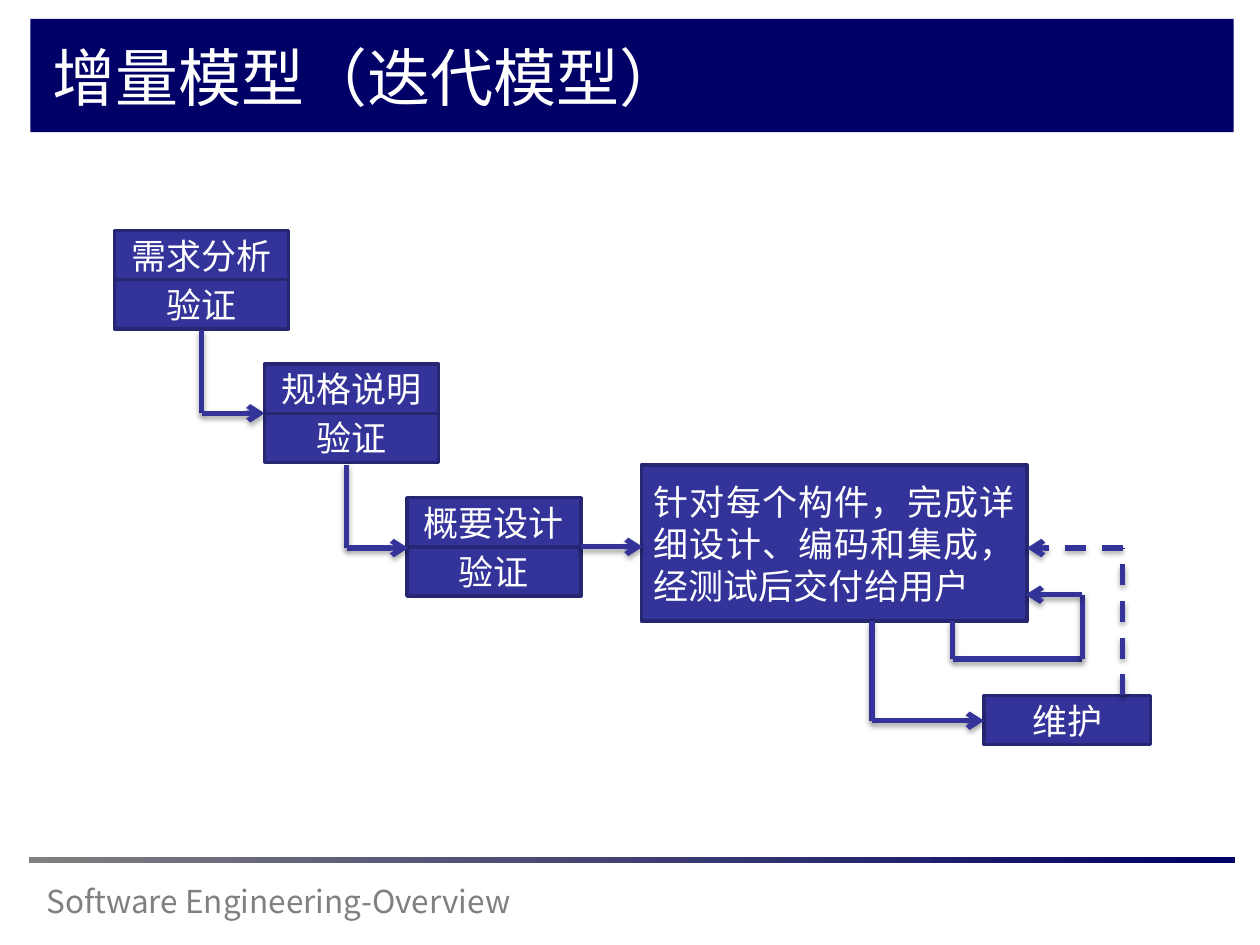
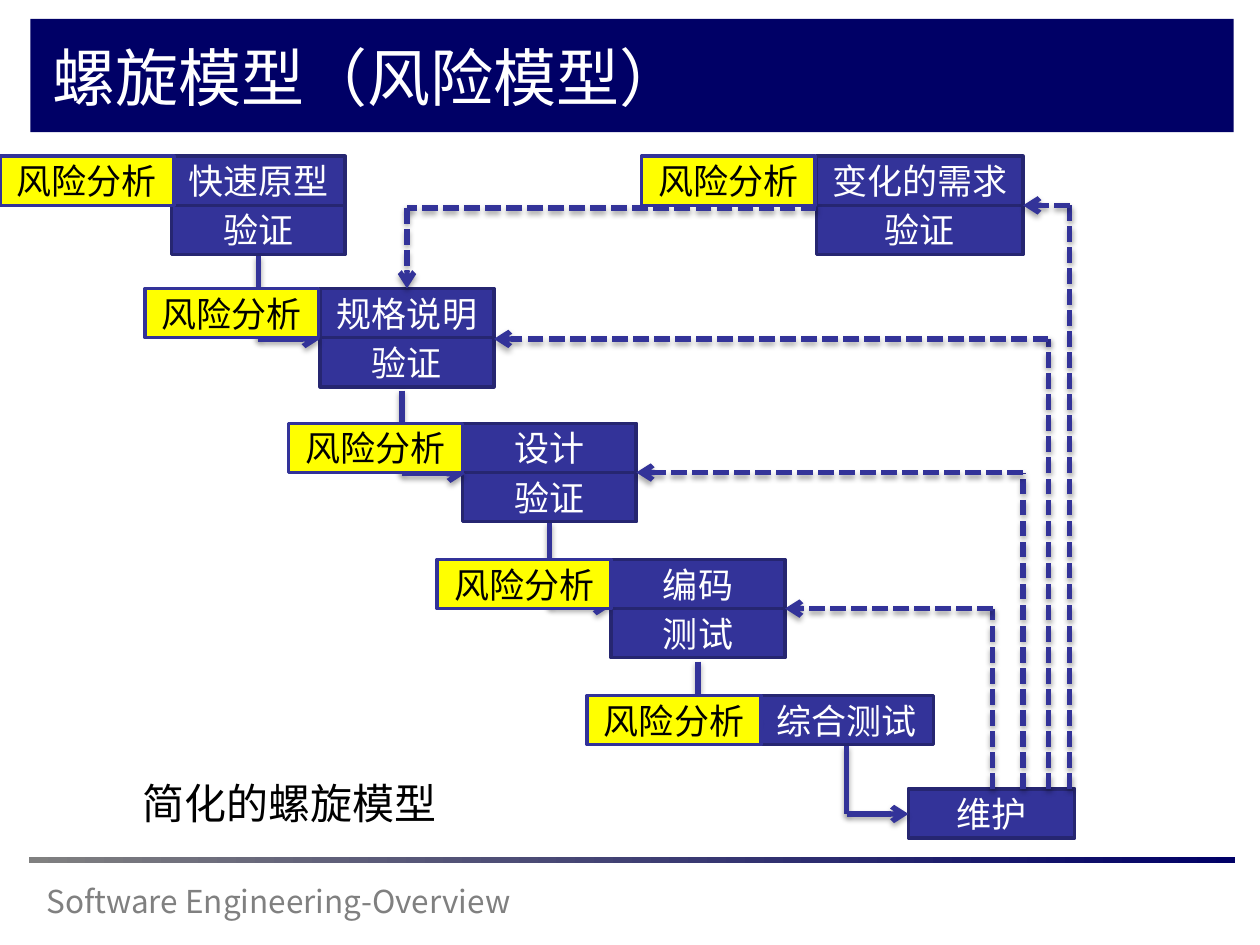
from dataclasses import dataclass

from lxml import etree
from pptx import Presentation
from pptx.dml.color import RGBColor
from pptx.enum.dml import MSO_LINE
from pptx.enum.shapes import MSO_CONNECTOR, MSO_SHAPE
from pptx.enum.text import MSO_ANCHOR, PP_ALIGN
from pptx.oxml.ns import qn
from pptx.util import Inches, Pt

RECT = MSO_SHAPE.RECTANGLE
STRAIGHT = MSO_CONNECTOR.STRAIGHT
DASH, SHORT_DASH = MSO_LINE.DASH, MSO_LINE.SQUARE_DOT
TOP, MIDDLE = MSO_ANCHOR.TOP, MSO_ANCHOR.MIDDLE
LEFT, CENTER, JUSTIFY = PP_ALIGN.LEFT, PP_ALIGN.CENTER, PP_ALIGN.JUSTIFY

NAVY = RGBColor(0x00, 0x00, 0x66)
INDIGO = RGBColor(0x33, 0x33, 0x99)
EDGE = RGBColor(0x26, 0x26, 0x71)
YELLOW = RGBColor(0xFF, 0xFF, 0x00)
GRAY = RGBColor(0x80, 0x80, 0x80)
WHITE = RGBColor(0xFF, 0xFF, 0xFF)
BLACK = RGBColor(0x00, 0x00, 0x00)

FONT = "Noto Sans CJK SC"
ROW_H = 0.39
STAGE_W = 1.38
CARE_W = 1.32

Point = tuple[float, float]


@dataclass(frozen=True)
class Stage:
    """A stack of labelled rows, optionally with a risk box on its left."""
    x: float
    y: float
    labels: tuple[str, ...]
    w: float = STAGE_W
    row_h: float = ROW_H
    align: PP_ALIGN = CENTER
    risk_x: float | None = None


@dataclass(frozen=True)
class Route:
    """A line through points, with an arrowhead at its end."""
    points: tuple[Point, ...]
    dash: MSO_LINE | None = None


def elbow(start: Point, end: Point, dash: MSO_LINE | None = None) -> Route:
    """Go vertically first, then horizontally."""
    return Route((start, (start[0], end[1]), end), dash)


def write(tf, text: str, size: float, color: RGBColor,
          align: PP_ALIGN = LEFT, anchor: MSO_ANCHOR = TOP) -> None:
    tf.word_wrap = True
    tf.vertical_anchor = anchor
    p = tf.paragraphs[0]
    p.alignment = align
    r = p.add_run()
    r.text = text
    for name, value in {"name": FONT, "size": Pt(size)}.items():
        setattr(r.font, name, value)
    r.font.color.rgb = color
    etree.SubElement(r.font._element, qn("a:ea"), typeface=FONT)


def add_text(s, x: float, y: float, w: float, h: float,
             text: str, size: float, color: RGBColor) -> None:
    box = s.shapes.add_textbox(Inches(x), Inches(y), Inches(w), Inches(h))
    write(box.text_frame, text, size, color)


def add_rect(s, x: float, y: float, w: float, h: float,
             fill: RGBColor, line: RGBColor | None = None):
    sp = s.shapes.add_shape(RECT, Inches(x), Inches(y), Inches(w), Inches(h))
    sp.shadow.inherit = False
    sp.fill.solid()
    sp.fill.fore_color.rgb = fill
    if line is None:
        sp.line.fill.background()
    else:
        sp.line.color.rgb = line
        sp.line.width = Pt(2)
    return sp


def add_stage(s, stage: Stage) -> None:
    for i, label in enumerate(stage.labels):
        sp = add_rect(s, stage.x, stage.y + i * stage.row_h,
                      stage.w, stage.row_h, INDIGO, EDGE)
        write(sp.text_frame, label, 20, WHITE, stage.align, MIDDLE)


def add_risk(s, stage: Stage) -> None:
    sp = add_rect(s, stage.risk_x, stage.y, STAGE_W, ROW_H, YELLOW, INDIGO)
    write(sp.text_frame, "风险分析", 20, BLACK, CENTER, MIDDLE)


def add_line_shadow(line) -> None:
    effects = etree.SubElement(line._element.spPr, qn("a:effectLst"))
    shadow = etree.SubElement(
        effects, qn("a:outerShdw"), blurRad=str(Pt(3.1)), dist=str(Pt(1.8)),
        dir="5400000", rotWithShape="0")
    color = etree.SubElement(shadow, qn("a:srgbClr"), val=str(BLACK))
    etree.SubElement(color, qn("a:alpha"), val="35000")


def add_route(s, route: Route) -> None:
    legs = list(zip(route.points, route.points[1:]))
    for i, (start, end) in enumerate(legs):
        line = s.shapes.add_connector(
            STRAIGHT, *(Inches(v) for v in (*start, *end)))
        line.line.color.rgb = INDIGO
        line.line.width = Pt(3)
        if route.dash is not None:
            line.line.dash_style = route.dash
        if i == len(legs) - 1:
            ln = line.line._get_or_add_ln()
            etree.SubElement(ln, qn("a:tailEnd"), type="arrow")
        add_line_shadow(line)


def add_base(prs, title: str):
    """Blank slide with the title band and the footer."""
    s = prs.slides.add_slide(prs.slide_layouts[6])
    add_rect(s, 0.24, 0.15, 9.55, 0.9, NAVY)
    add_text(s, 0.27, 6.95, 5.17, 0.4, "Software Engineering-Overview", 18, GRAY)
    rule = add_rect(s, 0.23, 6.8, 9.57, 0.05, NAVY)
    rule.fill.gradient()
    rule.fill.gradient_angle = 0
    for stop, color in zip(rule.fill.gradient_stops, (GRAY, NAVY)):
        stop.color.rgb = color
    add_text(s, 0.32, 0.26, 8.81, 0.74, title, 36, WHITE)
    return s


def draw_flow(s, stages: list[Stage], routes: list[Route]) -> None:
    for stage in stages:
        add_stage(s, stage)
    for route in routes:
        add_route(s, route)
    for stage in stages:
        if stage.risk_x is not None:
            add_risk(s, stage)


def incremental_slide(prs) -> None:
    s = add_base(prs, "增量模型（迭代模型）")
    stages = [
        Stage(0.91, 1.83, ("需求分析", "验证")),
        Stage(2.1, 2.89, ("规格说明", "验证")),
        Stage(3.23, 3.95, ("概要设计", "验证")),
        Stage(5.09, 3.69, ("针对每个构件，完成详细设计、编码和集成，经测试后交付给用户",),
              w=3.06, row_h=1.24, align=JUSTIFY),
        Stage(7.81, 5.52, ("维护",), w=CARE_W),
    ]
    routes = [
        elbow((1.6, 2.62), (2.1, 3.28)),
        elbow((2.75, 3.69), (3.24, 4.35)),
        Route(((4.61, 4.34), (5.1, 4.34))),
        elbow((6.92, 4.93), (7.81, 5.72)),
        elbow((8.91, 5.52), (8.15, 4.35), DASH),
        # Loop back for the next component
        Route(((7.56, 4.93), (7.56, 5.23), (8.59, 5.23), (8.59, 4.72), (8.14, 4.72))),
    ]
    draw_flow(s, stages, routes)


def spiral_slide(prs) -> None:
    s = add_base(prs, "螺旋模型（风险模型）")
    stages = [
        Stage(1.36, 1.24, ("快速原型", "验证"), risk_x=0),
        Stage(2.54, 2.29, ("规格说明", "验证"), risk_x=1.15),
        Stage(3.67, 3.36, ("设计", "验证"), risk_x=2.29),
        Stage(4.85, 4.44, ("编码", "测试"), risk_x=3.47),
        Stage(6.03, 5.52, ("综合测试",), risk_x=4.66),
        Stage(7.21, 6.26, ("维护",), w=CARE_W),
        Stage(6.48, 1.24, ("变化的需求", "验证"), w=1.64, risk_x=5.09),
    ]
    forward = [
        elbow((2.05, 2.03), (2.54, 2.69)),
        elbow((3.19, 3.1), (3.69, 3.76)),
        elbow((4.36, 4.15), (4.85, 4.81)),
        elbow((5.54, 5.25), (6.03, 5.72)),
        elbow((6.72, 5.92), (7.21, 6.46)),
    ]
    # Returns from maintenance: riser x and the point reached
    returns = [(8.49, (8.12, 1.63)), (8.32, (3.92, 2.69)),
               (8.12, (5.05, 3.75)), (7.88, (6.23, 4.83))]
    feedback = [elbow((x, 6.26), end, SHORT_DASH) for x, end in returns]
    change = Route(((6.48, 1.65), (3.23, 1.65), (3.23, 2.29)), SHORT_DASH)
    draw_flow(s, stages, [*forward, *feedback, change])
    add_text(s, 1.03, 6.12, 3.59, 0.5, "简化的螺旋模型", 24, BLACK)


def main() -> None:
    prs = Presentation()
    prs.slide_width, prs.slide_height = Inches(10), Inches(7.5)
    incremental_slide(prs)
    spiral_slide(prs)
    prs.save("out.pptx")


if __name__ == "__main__":
    main()
